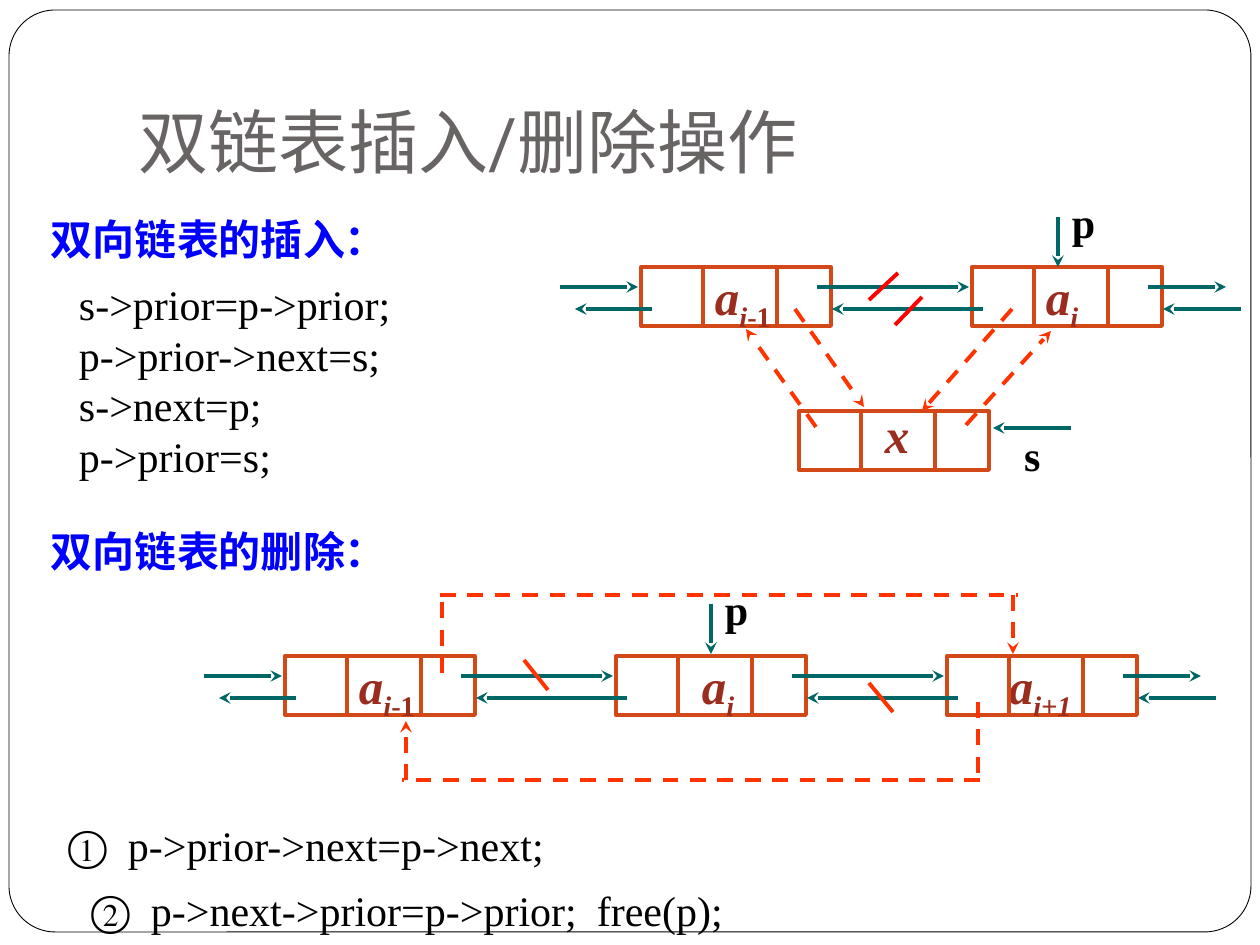
from lxml.etree import SubElement
from pptx import Presentation
from pptx.dml.color import RGBColor
from pptx.enum.dml import MSO_LINE
from pptx.enum.shapes import MSO_CONNECTOR, MSO_SHAPE
from pptx.enum.text import MSO_ANCHOR, PP_ALIGN
from pptx.oxml.ns import qn
from pptx.util import Pt

PX = 914400 / 126
COLORS = {
    "paper": "FFFFFF", "ink": "000000", "title": "696464", "heading": "0000FF",
    "node": "D34817", "label": "9B2D1F", "link": "006666",
    "relink": "FF3300", "cut": "FF0000",
}
SERIF = "Times New Roman"
NODE_W, NODE_H, PITCH, STUB = 190, 59, 331, 78


def px(*lengths):
    """Turn px lengths into EMU."""
    return [round(length * PX) for length in lengths]


def rgb(name):
    """Look up a palette colour."""
    return RGBColor.from_string(COLORS[name])


def add_run(paragraph, text, *, size=24, font=SERIF, color="ink",
            bold=False, italic=False, baseline=0):
    """Append one formatted run to a paragraph."""
    run = paragraph.add_run()
    run.text = text
    run.font.size, run.font.name = Pt(size), font
    run.font.bold, run.font.italic = bold, italic
    run.font.color.rgb = rgb(color)
    properties = run.font._element
    SubElement(properties, qn("a:ea"), typeface=font)
    if baseline:
        properties.set("baseline", str(baseline))


def add_text(slide, box, text, *, insets=(13, 6, 13, 6), anchor=MSO_ANCHOR.TOP,
             tabs=(), **style):
    """Place a text box with one paragraph per line of text."""
    frame = slide.shapes.add_textbox(*px(*box)).text_frame
    frame.word_wrap = True
    frame.vertical_anchor = anchor
    (frame.margin_left, frame.margin_top,
     frame.margin_right, frame.margin_bottom) = px(*insets)
    for index, line in enumerate(text.split("\n")):
        paragraph = frame.add_paragraph() if index else frame.paragraphs[0]
        if tabs:
            stops = SubElement(paragraph._p.get_or_add_pPr(), qn("a:tabLst"))
            for stop in px(*tabs):
                SubElement(stops, qn("a:tab"), pos=str(stop), algn="l")
        add_run(paragraph, line, **style)


def add_line(slide, origin, ends, color, dashed=False, arrow=False):
    """Draw a straight line given by its ends relative to an origin."""
    left, top = origin
    x1, y1, x2, y2 = ends
    line = slide.shapes.add_connector(
        MSO_CONNECTOR.STRAIGHT, *px(left + x1, top + y1, left + x2, top + y2))
    line.line.color.rgb = rgb(color)
    line.line.width = Pt(2.25)
    if dashed:
        line.line.dash_style = MSO_LINE.DASH
    if arrow:
        SubElement(line.line._get_or_add_ln(), qn("a:tailEnd"), type="stealth")
    SubElement(line._element.spPr, qn("a:effectLst"))


def add_node(slide, origin, label, indent, subscript="", upright=""):
    """Draw a three-cell list node with its label."""
    cell = slide.shapes.add_shape(MSO_SHAPE.RECTANGLE, *px(*origin, NODE_W, NODE_H))
    cell.shadow.inherit = False
    cell.fill.background()
    cell.line.color.rgb = rgb("node")
    cell.line.width = Pt(2.25)
    frame = cell.text_frame
    frame.word_wrap = True
    frame.vertical_anchor = MSO_ANCHOR.TOP
    (frame.margin_left, frame.margin_top,
     frame.margin_right, frame.margin_bottom) = px(indent, 0, 13, 11)
    paragraph = frame.paragraphs[0]
    paragraph.alignment = PP_ALIGN.LEFT
    paragraph.line_spacing = 0.9
    style = dict(size=28, color="label", bold=True)
    add_run(paragraph, label, italic=True, **style)
    if subscript:
        add_run(paragraph, subscript, italic=True, baseline=-25000, **style)
    if upright:
        add_run(paragraph, upright, baseline=-25000, **style)
    for divider in (62, 136):
        add_line(slide, origin, (divider, 0, divider, NODE_H), "node")


def add_chain(slide, origin, labels):
    """Draw evenly spaced nodes joined by next and prior arrows."""
    left, top = origin
    for index, label in enumerate(labels):
        add_node(slide, (left + index * PITCH, top), *label)
    for index in range(len(labels) + 1):
        x = index * PITCH
        last = index == len(labels)
        next_start = x - (155 if index else 81)
        prior_end = next_start + 15
        next_end = next_start + STUB if last else x - 3
        prior_start = prior_end + STUB if last else x + 11
        add_line(slide, origin, (next_start, 20, next_end, 20), "link", arrow=True)
        add_line(slide, origin, (prior_start, 42, prior_end, 42), "link", arrow=True)


def add_pointer(slide, origin, name):
    """Draw a downward arrow with the pointer name beside it."""
    left, top = origin
    add_line(slide, origin, (0, 0, 0, 50), "link", arrow=True)
    add_text(slide, (left + 14, top - 20, 34, 50), name, insets=(0, 0, 0, 0), bold=True)


def add_insertion(slide, left, top):
    """Draw the insertion of node x before node p."""
    origin = left, top
    add_chain(slide, (left + 80, top + 70), [("a", 74, "i", "-1"), ("a", 74, "i")])
    add_node(slide, (left + 238, top + 214), "x", 86)
    add_line(slide, origin, (510, 231, 432, 231), "link", arrow=True)
    add_text(slide, (left + 463, top + 233, 34, 50), "s", insets=(0, 0, 0, 0), bold=True)
    for ends in ((255, 230, 185, 132), (405, 228, 490, 134),
                 (451, 112, 361, 214), (234, 112, 303, 210)):
        add_line(slide, origin, ends, "relink", dashed=True, arrow=True)
    for ends in ((361, 100, 334, 128), (337, 76, 308, 103)):
        add_line(slide, origin, ends, "cut")
    add_pointer(slide, (left + 497, top + 20), "p")


def add_deletion(slide, left, top):
    """Draw the removal of node p from the list."""
    origin = left, top
    add_chain(slide, (left + 82, top + 73),
              [("a", 74, "i", "-1"), ("a", 86, "i"), ("a", 62, "i+1")])
    for ends in ((239, 90, 239, 12), (237, 12, 815, 12),
                 (775, 119, 775, 197), (777, 197, 199, 197)):
        add_line(slide, origin, ends, "relink", dashed=True)
    for ends in ((810, 12, 810, 71), (203, 197, 203, 138)):
        add_line(slide, origin, ends, "relink", dashed=True, arrow=True)
    for ends in ((345, 107, 321, 77), (690, 129, 666, 100)):
        add_line(slide, origin, ends, "relink")
    add_pointer(slide, (left + 508, top + 21), "p")


def add_frame(slide, box):
    """Draw the rounded slide border."""
    border = slide.shapes.add_shape(MSO_SHAPE.ROUNDED_RECTANGLE, *px(*box))
    border.adjustments[0] = 0.05
    border.shadow.inherit = False
    border.fill.solid()
    border.fill.fore_color.rgb = rgb("paper")
    border.line.color.rgb = rgb("ink")
    border.line.width = Pt(0.5)


def main():
    """Build and save the slide."""
    deck = Presentation()
    deck.slide_width, deck.slide_height = px(1260, 945)
    slide = deck.slides.add_slide(deck.slide_layouts[6])
    add_frame(slide, (9, 10, 1242, 922))
    add_text(slide, (126, 38, 1071, 157), "双链表插入/删除操作", insets=(13, 6, 13, 13),
             anchor=MSO_ANCHOR.BOTTOM, size=40, font="Roboto", color="title")
    for top, heading in ((208, "双向链表的插入："), (520, "双向链表的删除：")):
        add_text(slide, (38, top, 400, 63), heading,
                 font="Lato", color="heading", bold=True)
    add_text(slide, (66, 273, 490, 214),
             "s->prior=p->prior;\np->prior->next=s;\ns->next=p;\np->prior=s;")
    add_insertion(slide, 561, 197)
    add_deletion(slide, 203, 583)
    add_text(slide, (55, 813, 504, 63), "①\tp->prior->next=p->next;",
             anchor=MSO_ANCHOR.MIDDLE, tabs=(60,))
    add_text(slide, (78, 878, 669, 63), "②\tp->next->prior=p->prior;\tfree(p);",
             anchor=MSO_ANCHOR.MIDDLE, tabs=(60, 506))
    deck.save("out.pptx")


if __name__ == "__main__":
    main()
